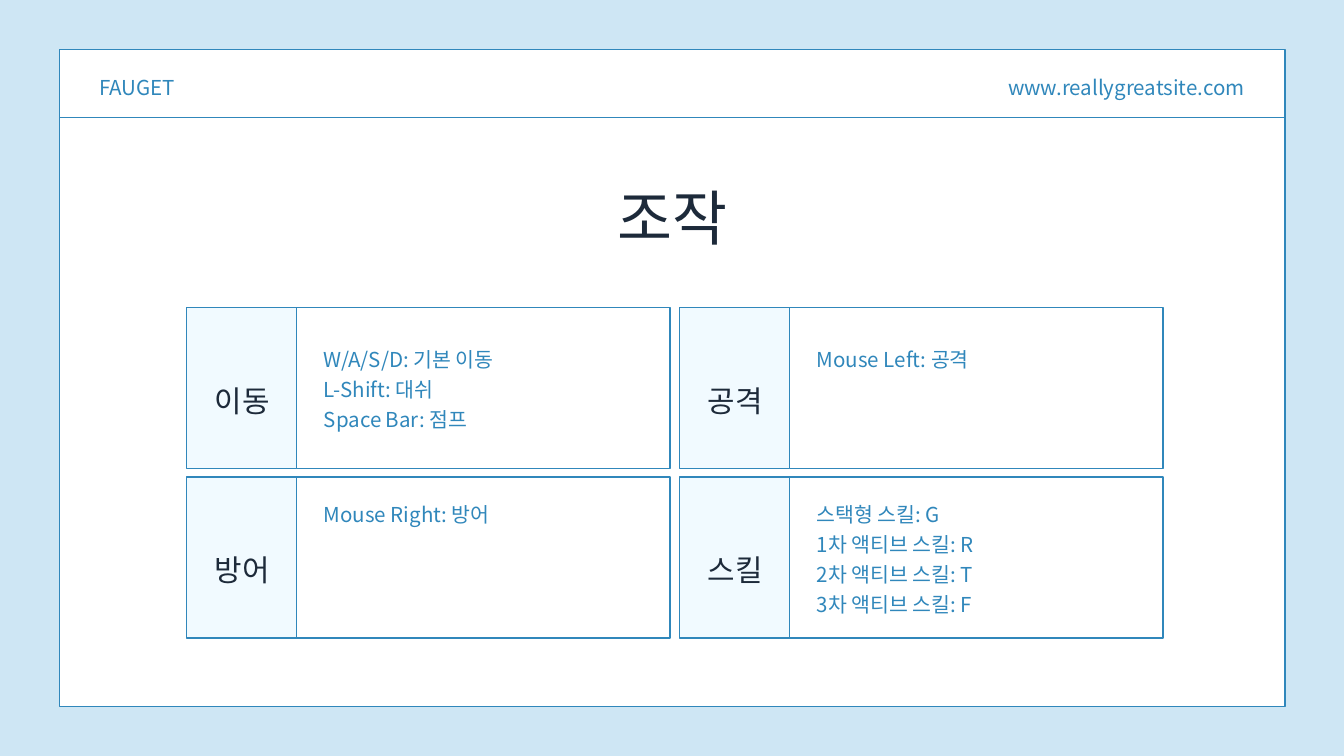
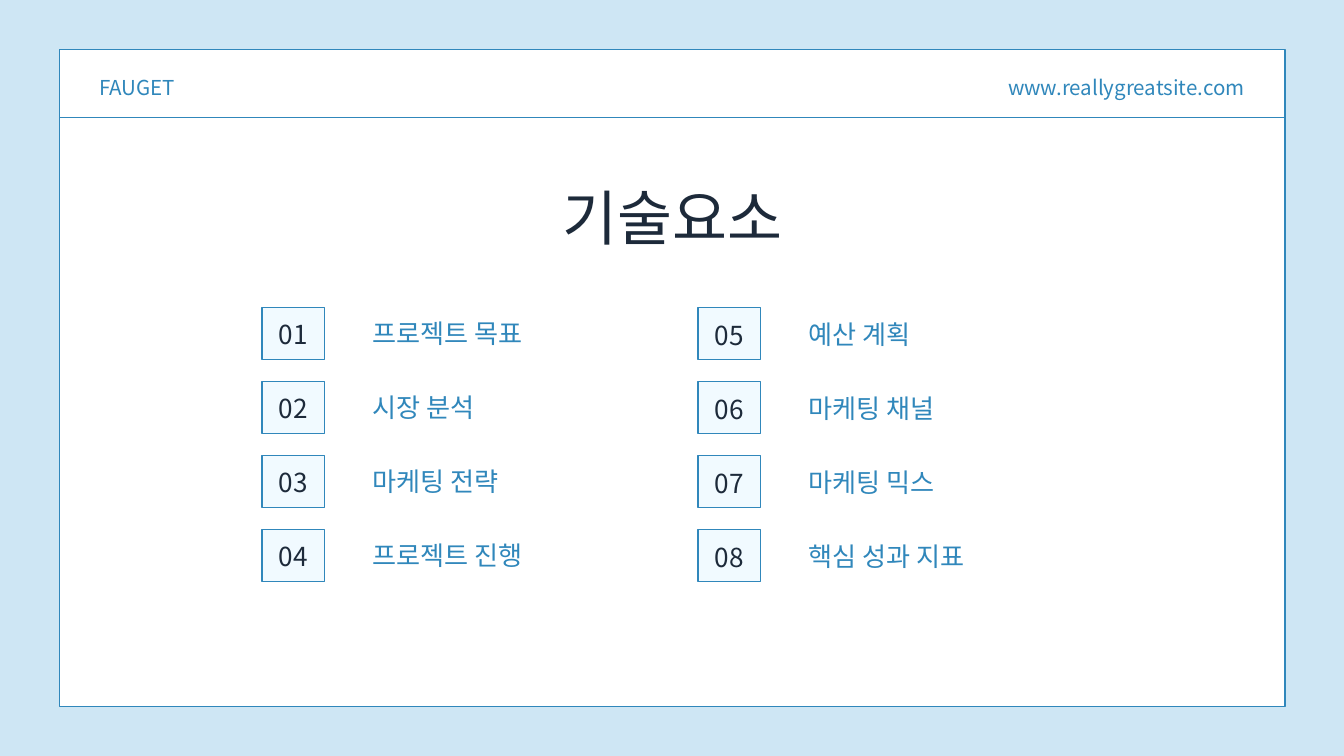
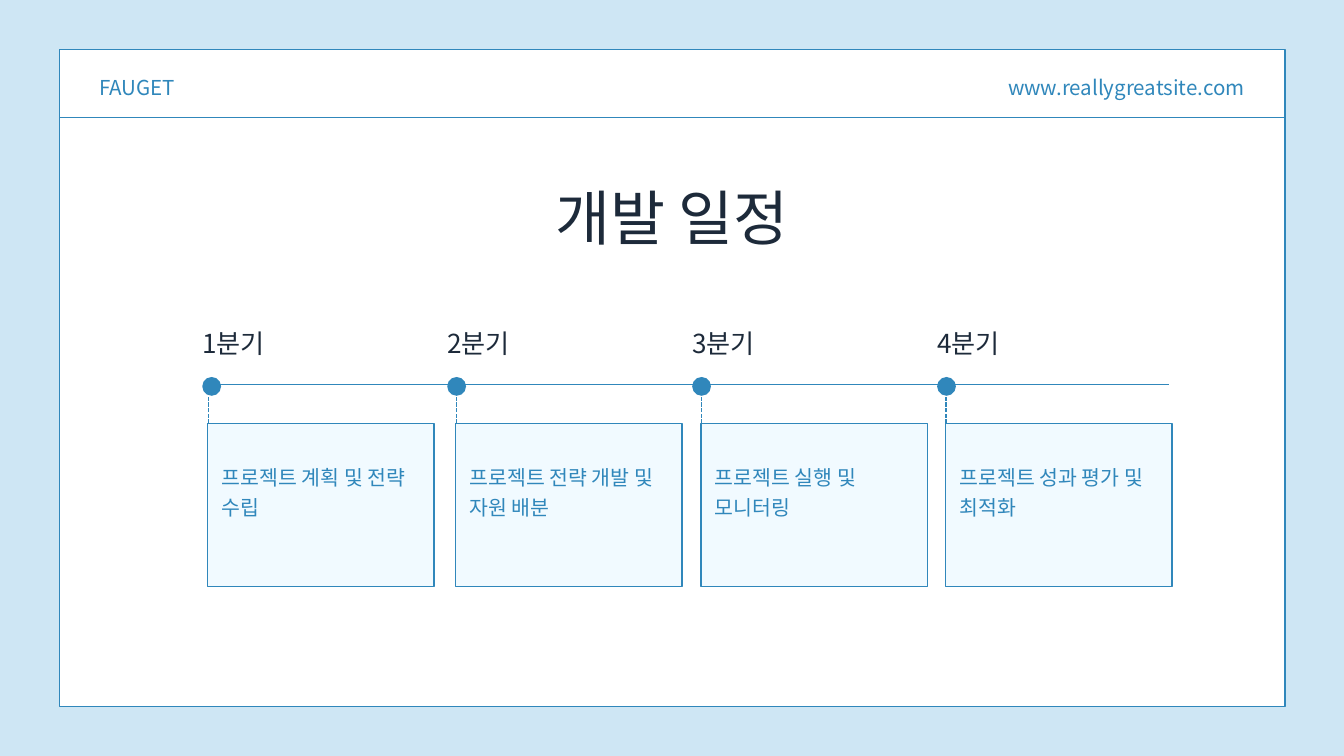
from lxml.etree import SubElement
from pptx import Presentation
from pptx.dml.color import RGBColor
from pptx.enum.dml import MSO_LINE
from pptx.enum.shapes import MSO_CONNECTOR, MSO_SHAPE
from pptx.enum.text import MSO_AUTO_SIZE, PP_ALIGN
from pptx.oxml.ns import qn
from pptx.util import Inches, Pt

SKY = RGBColor(0xCE, 0xE6, 0xF4)
WHITE = RGBColor(0xFF, 0xFF, 0xFF)
BLUE = RGBColor(0x30, 0x87, 0xBB)
TINT = RGBColor(0xF1, 0xFA, 0xFF)
NAVY = RGBColor(0x1D, 0x2A, 0x3A)
FONT = "Noto Sans CJK KR"
WIDTH, HEIGHT = Inches(20), Inches(11.25)
COLS = 200  # square grid cells across the slide
LEFT, CENTER, RIGHT, JUSTIFY = (
    PP_ALIGN.LEFT, PP_ALIGN.CENTER, PP_ALIGN.RIGHT, PP_ALIGN.JUSTIFY)


def cells(*counts):
    return [round(count * WIDTH / COLS) for count in counts]


class Deck:
    """Holds the shared style and the current slide."""

    def __init__(self):
        self.prs = Presentation()
        self.prs.slide_width, self.prs.slide_height = WIDTH, HEIGHT
        self.slide = None

    def page(self, title):
        self.slide = self.prs.slides.add_slide(self.prs.slide_layouts[6])
        back = self.slide.background.fill
        back.solid()
        back.fore_color.rgb = SKY
        # Frame and header band
        self.shape(8.9, 7.4, 182.3, 97.7, fill=WHITE)
        self.line(8.9, 17.5, 191.1, 17.5)
        self.text("www.reallygreatsite.com", 144.1, 10.6, 41.1, 4.2,
                  align=RIGHT, lead=30.8)
        self.text("FAUGET", 14.8, 10.6, 32.2, 4.2, lead=30.8)
        # Title
        self.text(title, 69.4, 25.1, 61.3, 12.6, size=64, color=NAVY,
                  align=CENTER, lead=89.6)

    def shape(self, x, y, w, h, fill=TINT, edge=True, kind=MSO_SHAPE.RECTANGLE):
        item = self.slide.shapes.add_shape(kind, *cells(x, y, w, h))
        item.shadow.inherit = False
        item.fill.solid()
        item.fill.fore_color.rgb = fill
        if edge:
            self.stroke(item.line)
        else:
            item.line.fill.background()

    def line(self, x1, y1, x2, y2, dash=None):
        item = self.slide.shapes.add_connector(
            MSO_CONNECTOR.STRAIGHT, *cells(x1, y1, x2, y2))
        self.stroke(item.line)
        if dash:
            item.line.dash_style = dash
        SubElement(item._element.spPr, qn("a:effectLst"))

    def stroke(self, line):
        line.color.rgb = BLUE
        line.width = Pt(1.5)

    def text(self, words, x, y, w, h, size=22, color=BLUE, align=LEFT, lead=31.9):
        frame = self.slide.shapes.add_textbox(*cells(x, y, w, h)).text_frame
        frame.word_wrap = True
        frame.auto_size = MSO_AUTO_SIZE.SHAPE_TO_FIT_TEXT
        frame.margin_left = frame.margin_right = 0
        frame.margin_top = frame.margin_bottom = 0
        frame.text = words
        for para in frame.paragraphs:
            para.alignment = align
            para.line_spacing = Pt(lead)
            for run in para.runs:
                run.font.size = Pt(size)
                run.font.color.rgb = color
                run.font.name = FONT
                SubElement(run._r.get_or_add_rPr(), qn("a:ea"), typeface=FONT)


def controls(deck):
    deck.page("조작")
    cards = [
        ("이동", "W/A/S/D: 기본 이동\nL-Shift: 대쉬\nSpace Bar: 점프"),
        ("공격", "Mouse Left: 공격"),
        ("방어", "Mouse Right: 방어"),
        ("스킬", "스택형 스킬: G\n1차 액티브 스킬: R\n"
               "2차 액티브 스킬: T\n3차 액티브 스킬: F"),
    ]
    for i, (name, keys) in enumerate(cards):
        row, col = divmod(i, 2)
        x, y = 27.8 + 73.35 * col, 45.8 + 25.2 * row
        deck.shape(x, y, 16.7, 23.95)
        deck.shape(x + 16.3, y, 55.6, 23.95, fill=WHITE)
        deck.text(keys, x + 20.4, y + (5.1, 3)[row], 47.5,
                  4.4 * len(keys.split("\n")), align=JUSTIFY)
        deck.text(name, x + 3.5, y + 4, 9.5, 10.8, size=32, color=NAVY,
                  align=CENTER, lead=89.6)


def topics(deck):
    deck.page("기술요소")
    names = ["프로젝트 목표", "시장 분석", "마케팅 전략", "프로젝트 진행",
             "예산 계획", "마케팅 채널", "마케팅 믹스", "핵심 성과 지표"]
    for i, name in enumerate(names):
        col, row = divmod(i, 4)
        x, y = 39 + 64.9 * col, 45.8 + 11 * row
        drop = 1.6 + 0.2 * col
        deck.shape(x, y, 9.3, 7.7)
        deck.text(f"{i + 1:02}", x - 1.8, y + drop, 12.9, 4.5, size=28,
                  color=NAVY, align=CENTER, lead=33.6)
        deck.text(name, x + 16.4, y + drop - 0.2, 42.5, 4.7, size=28, lead=33.6)


def schedule(deck):
    deck.page("개발 일정")
    deck.line(31.1, 57.2, 174, 57.2)
    steps = [(30.9, "프로젝트 계획 및 전략 수립"),
             (67.8, "프로젝트 전략 개발 및 자원 배분"),
             (104.3, "프로젝트 실행 및 모니터링"),
             (140.7, "프로젝트 성과 평가 및 최적화")]
    for i, (x, task) in enumerate(steps):
        dot = 30.1 + 36.45 * i
        deck.shape(dot, 56.1, 2.8, 2.8, fill=BLUE, edge=False,
                   kind=MSO_SHAPE.OVAL)
        deck.shape(x, 63, 33.7, 24.3)
        deck.text(f"{i + 1}분기", dot, 48.7, 29.7, 4.5, size=28,
                  color=NAVY, lead=33.6)
        deck.text(task, x + 2.1, 68.4, 29.7, 8.6)
        deck.line(x + 0.1, 63, x + 0.1, 58.9, dash=MSO_LINE.SQUARE_DOT)


def main():
    deck = Deck()
    controls(deck)
    topics(deck)
    schedule(deck)
    deck.prs.save("out.pptx")


if __name__ == "__main__":
    main()
